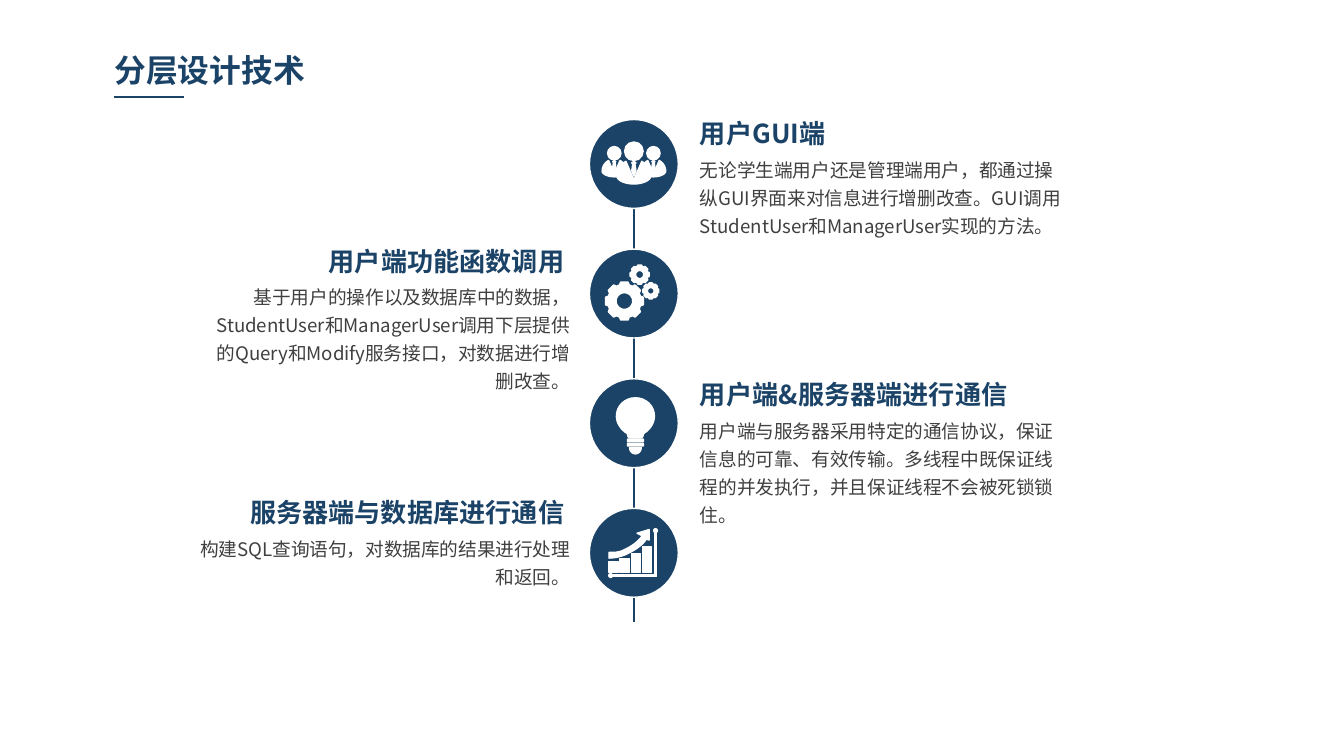
from dataclasses import dataclass
from math import cos, radians, sin
from typing import Callable

from lxml.etree import SubElement
from pptx import Presentation
from pptx.dml.color import RGBColor
from pptx.enum.shapes import MSO_CONNECTOR, MSO_SHAPE
from pptx.enum.text import MSO_ANCHOR, MSO_AUTO_SIZE, PP_ALIGN
from pptx.oxml.ns import qn
from pptx.util import Cm, Pt

COLORS = {"navy": "1B4367", "grey": "404040", "white": "FFFFFF"}
FONT = "Noto Sans CJK SC"
SPINE_X = 11.98
FIRST_Y, STEP_Y = 3.1, 2.45
DISC = 1.68
BODY_WIDTH = 7.49
RIGHT_TEXT_LEFT = 12.98
LEFT_BODY_EDGE, LEFT_HEADING_EDGE = 11.02, 10.92

Point = tuple[float, float]


def style_paragraph(para, size: float, color: str, bold: bool = False) -> None:
    for span in para.runs:
        span.font.size = Pt(size)
        span.font.bold = bold
        span.font.name = FONT
        span.font.color.rgb = RGBColor.from_string(COLORS[color])
        SubElement(span._r.get_or_add_rPr(), qn("a:ea")).set("typeface", FONT)


def add_text(page, text: str, left: float, top: float, width: float, height: float,
             size: float, color: str, bold: bool, align: PP_ALIGN) -> None:
    box = page.shapes.add_textbox(Cm(left), Cm(top), Cm(width), Cm(height))
    frame = box.text_frame
    frame.text = text
    frame.word_wrap = True
    frame.auto_size = MSO_AUTO_SIZE.SHAPE_TO_FIT_TEXT
    para = frame.paragraphs[0]
    para.alignment = align
    para.line_spacing = Pt(15)
    style_paragraph(para, size, color, bold)


def add_line(page, x1: float, y1: float, x2: float, y2: float) -> None:
    line = page.shapes.add_connector(MSO_CONNECTOR.STRAIGHT, Cm(x1), Cm(y1), Cm(x2), Cm(y2))
    line.line.color.rgb = RGBColor.from_string(COLORS["navy"])
    line.line.width = Pt(0.75)
    SubElement(line._element.spPr, qn("a:effectLst"))


def curve(start: Point, control1: Point, control2: Point, end: Point) -> list[Point]:
    """Return points along a cubic Bezier curve."""
    points = []
    for i in range(9):
        t = i / 8
        weights = ((1 - t) ** 3, 3 * t * (1 - t) ** 2, 3 * t * t * (1 - t), t ** 3)
        corners = (start, control1, control2, end)
        points.append(tuple(sum(w * p[axis] for w, p in zip(weights, corners))
                            for axis in (0, 1)))
    return points


def mirrored(half: list[Point]) -> list[Point]:
    """Close a right-hand outline with its reflection in the vertical axis."""
    return half + [(-x, y) for x, y in reversed(half)]


def ring(radius: float) -> list[Point]:
    return [(radius * cos(radians(a)), radius * sin(radians(a))) for a in range(0, 360, 15)]


@dataclass
class Badge:
    """A group whose parts are placed in centimetres from its centre."""
    group: object
    y: float

    def finish(self, shape, color: str, weight: float = 0.75) -> None:
        shape.shadow.inherit = False
        shape.fill.solid()
        shape.fill.fore_color.rgb = RGBColor.from_string(COLORS[color])
        shape.line.color.rgb = RGBColor.from_string(COLORS["white"])
        shape.line.width = Pt(weight)

    def preset(self, kind: MSO_SHAPE, x: float, y: float, width: float, height: float,
               color: str = "white") -> None:
        self.finish(self.group.shapes.add_shape(
            kind, Cm(SPINE_X + x), Cm(self.y + y), Cm(width), Cm(height)), color)

    def disc(self, x: float, y: float, diameter: float, color: str = "white") -> None:
        self.preset(MSO_SHAPE.OVAL, x - diameter / 2, y - diameter / 2,
                    diameter, diameter, color)

    def outline(self, *contours: list[Point], x: float = 0, y: float = 0,
                scale: float = 1, weight: float = 0.75) -> None:
        builder = None
        for contour in contours:
            points = [(Cm(SPINE_X + x + px * scale), Cm(self.y + y + py * scale))
                      for px, py in contour]
            if builder is None:
                builder = self.group.shapes.build_freeform(*points[0])
            else:
                builder.move_to(*points[0])
            builder.add_line_segments(points[1:], close=True)
        self.finish(builder.convert_to_shape(), "white", weight)


def draw_people(badge: Badge) -> None:
    body = mirrored([(0, 0.3)] + curve((0.15, -0.05), (0.24, 0), (0.32, 0.1), (0.32, 0.23))
                    + curve((0.32, 0.23), (0.32, 0.31), (0.17, 0.38), (0, 0.38)))
    tie = mirrored([(0, -0.05), (0.04, -0.02), (0.02, 0), (0.04, 0.13), (0, 0.23)])
    for x, y, scale in ((-0.37, -0.03, 0.72), (0.37, -0.03, 0.72), (0, 0, 1)):
        badge.disc(x, y - 0.24 * scale, 0.35 * scale)
        badge.outline(body, x=x, y=y, scale=scale)
        badge.outline(tie, x=x, y=y, scale=scale)


def draw_gears(badge: Badge) -> None:
    tooth = ((-16, 0.87), (-11, 1), (11, 1), (16, 0.87))
    rim = [(r * cos(radians(45 * k + a)), r * sin(radians(45 * k + a)))
           for k in range(8) for a, r in tooth]
    for x, y, radius in ((-0.18, 0.14, 0.36), (0.11, -0.36, 0.18), (0.32, -0.05, 0.15)):
        badge.outline(rim, ring(0.45), x=x, y=y, scale=radius, weight=1)


def draw_bulb(badge: Badge) -> None:
    x = 0.03
    globe = (curve((0, -0.48), (0.2, -0.48), (0.36, -0.33), (0.36, -0.13))
             + curve((0.36, -0.13), (0.36, 0), (0.27, 0.13), (0.15, 0.2))
             + curve((0.15, 0.2), (0.15, 0.25), (0.13, 0.28), (0.09, 0.28)))
    badge.outline(mirrored(globe), x=x)
    for y in (0.3, 0.38):
        badge.preset(MSO_SHAPE.ROUNDED_RECTANGLE, x - 0.15, y, 0.3, 0.05)
    badge.outline(mirrored(curve((0.11, 0.46), (0.11, 0.53), (0.06, 0.58), (0, 0.58))), x=x)


def draw_growth(badge: Badge) -> None:
    for i, top in enumerate((0.17, 0.11, 0.01, -0.11)):
        badge.preset(MSO_SHAPE.RECTANGLE, -0.47 + 0.21 * i, top, 0.18, 0.37 - top)
    badge.outline([(0.29, -0.24), (0.29, -0.44), (0.06, -0.37)]
                  + curve((0.16, -0.32), (0.06, -0.19), (-0.06, -0.11), (-0.22, -0.04))
                  + curve((-0.22, -0.04), (-0.34, 0.01), (-0.47, -0.01), (-0.47, -0.01))
                  + curve((-0.47, 0.1), (-0.44, 0.1), (-0.32, 0.1), (-0.17, 0.04))
                  + curve((-0.17, 0.04), (-0.03, -0.02), (0.15, -0.12), (0.24, -0.26)))
    badge.outline([(0.39, -0.4), (0.43, -0.4), (0.43, 0.45), (-0.45, 0.45),
                   (-0.45, 0.41), (0.39, 0.41)])
    badge.disc(0.41, -0.42, 0.07)
    badge.disc(-0.44, 0.43, 0.07)


@dataclass
class Layer:
    heading: str
    body: str
    top: float
    heading_width: float
    body_height: float
    on_right: bool
    draw_icon: Callable[[Badge], None]


LAYERS = [
    Layer("用户GUI端", "无论学生端用户还是管理端用户，都通过操纵GUI界面来对信息进行增删改查。"
          "GUI调用StudentUser和ManagerUser实现的方法。", 2.16, 4.01, 2.34, True, draw_people),
    Layer("用户端功能函数调用", "基于用户的操作以及数据库中的数据，StudentUser和ManagerUser"
          "调用下层提供的Query和Modify服务接口，对数据进行增删改查。",
          4.57, 5.99, 2.34, False, draw_gears),
    Layer("用户端&服务器端进行通信", "用户端与服务器采用特定的通信协议，保证信息的可靠、有效传输。"
          "多线程中既保证线程的并发执行，并且保证线程不会被死锁锁住。",
          7.09, 7.47, 2.34, True, draw_bulb),
    Layer("服务器端与数据库进行通信", "构建SQL查询语句，对数据库的结果进行处理和返回。",
          9.32, 6.93, 1.27, False, draw_growth),
]


def add_layer(page, layer: Layer, y: float) -> None:
    badge = Badge(page.shapes.add_group_shape(), y)
    badge.disc(0, 0, DISC, "navy")
    layer.draw_icon(badge)
    align = PP_ALIGN.LEFT if layer.on_right else PP_ALIGN.RIGHT
    body_left = RIGHT_TEXT_LEFT if layer.on_right else LEFT_BODY_EDGE - BODY_WIDTH
    heading_left = RIGHT_TEXT_LEFT if layer.on_right else LEFT_HEADING_EDGE - layer.heading_width
    add_text(page, layer.body, body_left, layer.top + 0.61, BODY_WIDTH, layer.body_height,
             10, "grey", False, align)
    add_text(page, layer.heading, heading_left, layer.top, layer.heading_width, 0.79,
             14, "navy", True, align)


def add_title(page, text: str) -> None:
    title = page.shapes.title
    title.left, title.top, title.width, title.height = Cm(1.98), Cm(0.86), Cm(6.27), Cm(0.91)
    frame = title.text_frame
    frame.text = text
    frame.margin_left = frame.margin_right = Cm(0.18)
    frame.margin_top = frame.margin_bottom = Cm(0.1)
    frame.vertical_anchor = MSO_ANCHOR.TOP
    frame.auto_size = MSO_AUTO_SIZE.SHAPE_TO_FIT_TEXT
    frame.paragraphs[0].alignment = PP_ALIGN.LEFT
    style_paragraph(frame.paragraphs[0], 17, "navy", True)
    add_line(page, 2.16, 1.83, 3.48, 1.83)


def main() -> None:
    deck = Presentation()
    deck.slide_width, deck.slide_height = Cm(25.4), Cm(14.29)
    page = deck.slides.add_slide(deck.slide_layouts[5])
    add_title(page, "分层设计技术")
    add_line(page, SPINE_X, 2.44, SPINE_X, 11.76)
    for i, layer in enumerate(LAYERS):
        add_layer(page, layer, FIRST_Y + STEP_Y * i)
    deck.save("out.pptx")


if __name__ == "__main__":
    main()
